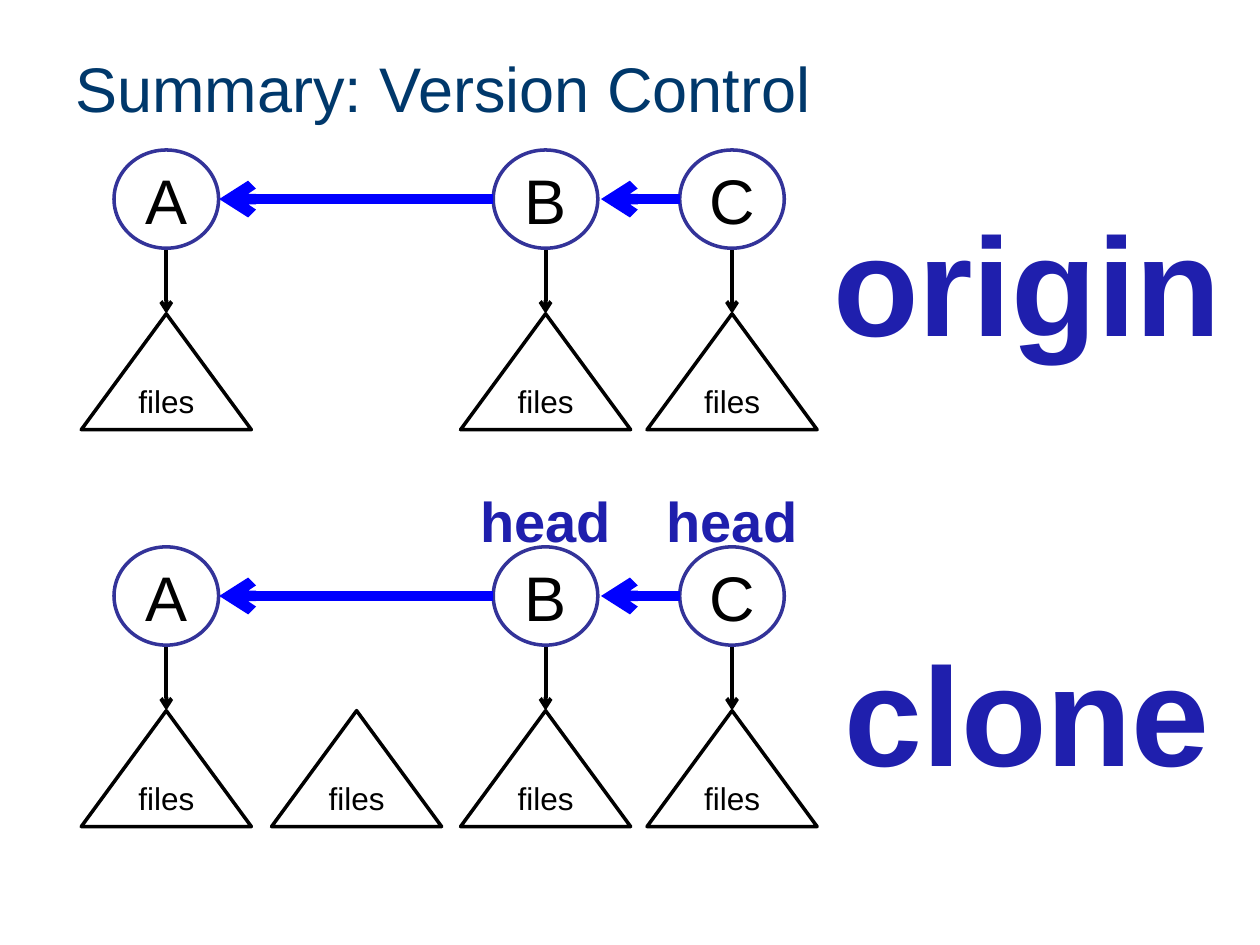
"""Build the version control summary slide with its origin and clone graphs."""
from lxml.etree import SubElement
from pptx import Presentation
from pptx.dml.color import RGBColor
from pptx.enum.shapes import MSO_CONNECTOR, MSO_SHAPE
from pptx.enum.text import MSO_ANCHOR, PP_ALIGN
from pptx.oxml.ns import qn
from pptx.util import Inches, Pt

BLACK = RGBColor(0x00, 0x00, 0x00)
WHITE = RGBColor(0xFF, 0xFF, 0xFF)
NAVY = RGBColor(0x00, 0x38, 0x6B)
INDIGO = RGBColor(0x33, 0x33, 0x99)
BLUE = RGBColor(0x00, 0x00, 0xFF)
LABEL_BLUE = RGBColor(0x1F, 0x1F, 0xAD)

COMMIT_CENTERS = {"A": 1.32, "B": 4.33, "C": 5.81}
LOOSE_FILES_CENTER = 2.83
CIRCLE_WIDTH, CIRCLE_HEIGHT = 0.83, 0.78
TRIANGLE_WIDTH, TRIANGLE_HEIGHT = 1.35, 0.92
FILES_DROP = 1.3
PARENT_LINKS = [(3.91, 1.74), (5.4, 4.77)]
REPOSITORIES = [
    {"name": "origin", "top": 1.19, "label_top": 1.51, "files": []},
    {"name": "clone", "top": 4.34, "label_top": 4.92, "files": [LOOSE_FILES_CENTER]},
]
CIRCLE = {"kind": MSO_SHAPE.OVAL, "line": INDIGO, "size": 36,
          "width": CIRCLE_WIDTH, "height": CIRCLE_HEIGHT}
TRIANGLE = {"kind": MSO_SHAPE.ISOSCELES_TRIANGLE, "line": BLACK, "size": 18,
            "width": TRIANGLE_WIDTH, "height": TRIANGLE_HEIGHT}

presentation = Presentation()
presentation.slide_width = Inches(10)
presentation.slide_height = Inches(7.5)
slide = presentation.slides.add_slide(presentation.slide_layouts[6])


def write_text(shape, text, size, color, bold=False,
               alignment=PP_ALIGN.CENTER, anchor=MSO_ANCHOR.MIDDLE):
    shape.text_frame.word_wrap = True
    shape.text_frame.vertical_anchor = anchor
    paragraph = shape.text_frame.paragraphs[0]
    paragraph.alignment = alignment
    run = paragraph.add_run()
    run.text = text
    for name, value in {"name": "Arial", "size": Pt(size), "bold": bold}.items():
        setattr(run.font, name, value)
    run.font.color.rgb = color


def add_arrow(start, end, color, width):
    connector = slide.shapes.add_connector(
        MSO_CONNECTOR.STRAIGHT, *map(Inches, (*start, *end)))
    connector.line.color.rgb = color
    connector.line.width = Pt(width)
    SubElement(connector.line._get_or_add_ln(), qn("a:tailEnd"), type="arrow")
    SubElement(connector._element.spPr, qn("a:effectLst"))


title = slide.shapes.add_textbox(*map(Inches, (0.5, 0.3, 9, 0.78)))
write_text(title, "Summary: Version Control", 36, NAVY, alignment=PP_ALIGN.LEFT)

labels = [("head", COMMIT_CENTERS[commit] - 0.88, 3.81, 1.76, 0.64, 32)
          for commit in "BC"]

for repository in REPOSITORIES:
    top = repository["top"]
    middle = top + CIRCLE_HEIGHT / 2
    files_top = top + FILES_DROP
    labels.append((repository["name"], 6.31, repository["label_top"], 3.69, 1.45, 80))
    nodes = [(CIRCLE, commit, center, top) for commit, center in COMMIT_CENTERS.items()]
    nodes += [(TRIANGLE, "files", center, files_top)
              for center in [*COMMIT_CENTERS.values(), *repository["files"]]]

    for center in COMMIT_CENTERS.values():
        add_arrow((center, top + CIRCLE_HEIGHT), (center, files_top), BLACK, 2.25)

    for style, text, center, node_top in nodes:
        shape = slide.shapes.add_shape(
            style["kind"], Inches(center - style["width"] / 2), Inches(node_top),
            Inches(style["width"]), Inches(style["height"]))
        shape.shadow.inherit = False
        shape.fill.solid()
        shape.fill.fore_color.rgb = WHITE
        shape.line.color.rgb = style["line"]
        shape.line.width = Pt(2)
        for side in ("left", "right", "top", "bottom"):
            setattr(shape.text_frame, f"margin_{side}", 0)
        write_text(shape, text, style["size"], BLACK)

    for child, parent in PARENT_LINKS:
        add_arrow((child, middle), (parent, middle), BLUE, 6)

for text, left, top, width, height, size in labels:
    label = slide.shapes.add_textbox(*map(Inches, (left, top, width, height)))
    write_text(label, text, size, LABEL_BLUE, bold=True, anchor=MSO_ANCHOR.TOP)

presentation.save("out.pptx")
